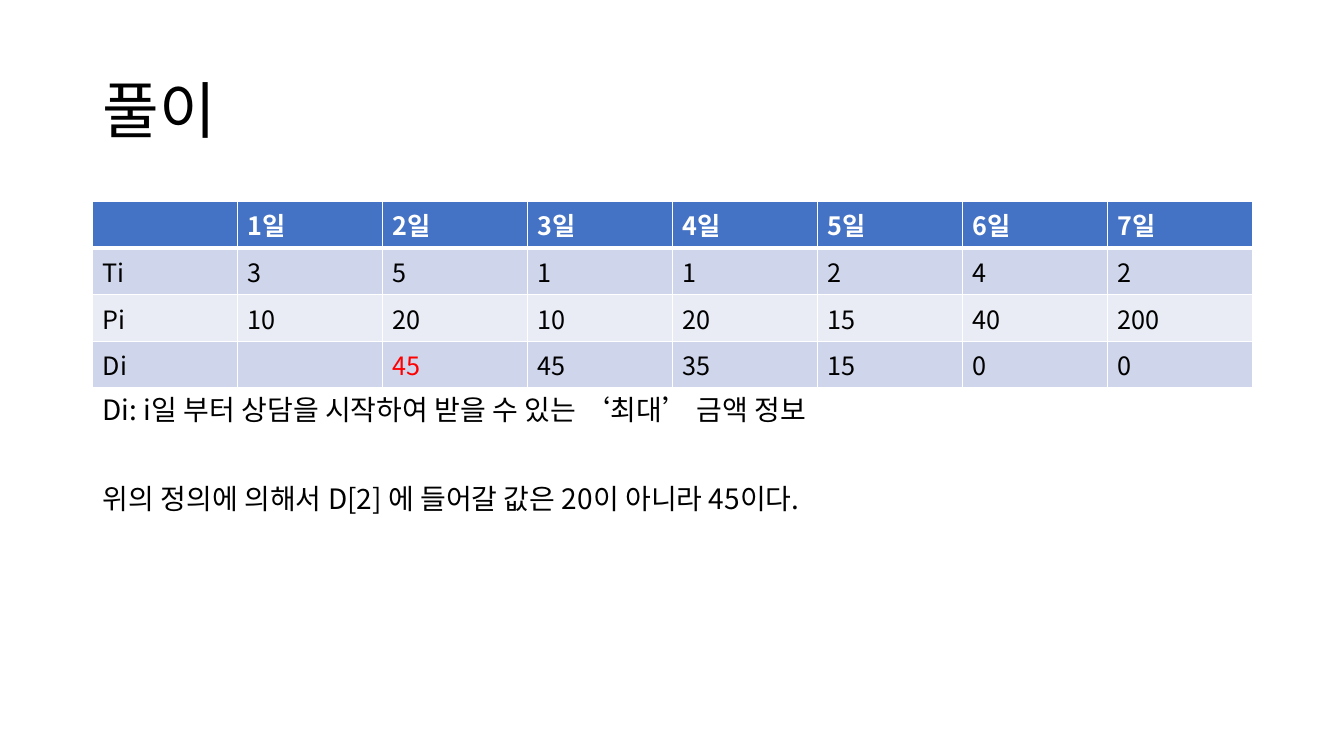
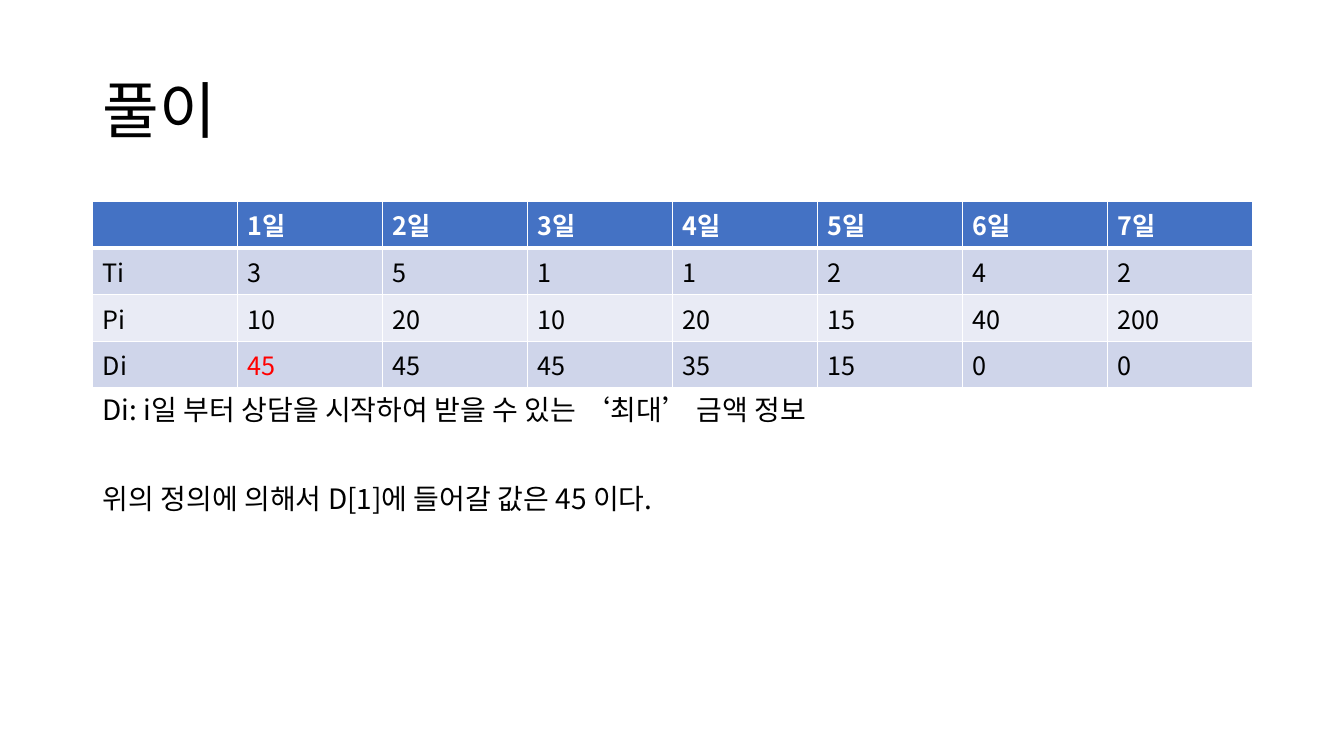
from pptx import Presentation
from pptx.dml.color import RGBColor
from pptx.enum.text import MSO_ANCHOR, MSO_AUTO_SIZE
from pptx.oxml.ns import qn
from pptx.util import Inches, Pt
from lxml.etree import SubElement

FONT = "Noto Sans CJK KR"
BLACK, WHITE, RED, BLUE = "000000", "FFFFFF", "FF0000", "4472C4"
BANDS = ["CFD5EA", "E9EBF5"]
LEFT, WIDTH = 0.92, 11.5
HEAD = [""] + [f"{day}일" for day in range(1, 8)]
TIMES = ["Ti", 3, 5, 1, 1, 2, 4, 2]
PAYS = ["Pi", 10, 20, 10, 20, 15, 40, 200]
RULE = "Di: i일 부터 상담을 시작하여 받을 수 있는 ‘최대’ 금액 정보"
STEPS = [
    (["Di", "", 45, 45, 35, 15, 0, 0], 2,
     "위의 정의에 의해서 D[2] 에 들어갈 값은 20이 아니라 45이다."),
    (["Di", 45, 45, 45, 35, 15, 0, 0], 1,
     "위의 정의에 의해서 D[1]에 들어갈 값은 45 이다."),
]


def color(code):
    return RGBColor.from_string(code)


def write(para, text, size, tint=BLACK, bold=False):
    run = para.add_run()
    run.text = str(text)
    font = run.font
    font.size, font.bold, font.name = Pt(size), bold, FONT
    font.color.rgb = color(tint)
    SubElement(run._r.get_or_add_rPr(), qn("a:ea"), typeface=FONT)


def add_text(slide, box, lines, size, anchor, gap=0):
    frame = slide.shapes.add_textbox(*map(Inches, box)).text_frame
    frame.word_wrap = True
    frame.auto_size = MSO_AUTO_SIZE.TEXT_TO_FIT_SHAPE
    frame.vertical_anchor = anchor
    for i, line in enumerate(lines):
        para = frame.add_paragraph() if i else frame.paragraphs[0]
        para.line_spacing = 0.9
        para.space_before = Pt(gap if i else 10)
        write(para, line, size)


def add_edges(cell, base):
    props = cell._tc.get_or_add_tcPr()
    for i, (side, width) in enumerate(zip("LRTB", (1, 1, 1, base))):
        line = props.makeelement(qn(f"a:ln{side}"), {"w": str(Pt(width))})
        fill = SubElement(line, qn("a:solidFill"))
        SubElement(fill, qn("a:srgbClr"), val=WHITE)
        props.insert(i, line)


def add_grid(slide, box, rows, mark):
    x, y, width, height = box
    count = len(rows[0])
    table = slide.shapes.add_table(
        len(rows), count, *map(Inches, box)).table
    for col in table.columns:
        col.width = Inches(width / count)
    for r, row in enumerate(rows):
        table.rows[r].height = Inches(height / len(rows))
        for c, value in enumerate(row):
            cell = table.cell(r, c)
            cell.fill.solid()
            cell.fill.fore_color.rgb = color(
                BANDS[(r - 1) % 2] if r else BLUE)
            add_edges(cell, 1 if r else 3)
            if value != "":
                tint = RED if (r, c) == mark else BLACK if r else WHITE
                write(cell.text_frame.paragraphs[0], value, 18, tint, r == 0)


def add_step(deck, sums, day, note):
    slide = deck.slides.add_slide(deck.slide_layouts[6])
    add_text(slide, (LEFT, 0.4, WIDTH, 1.45), ["풀이"], 44, MSO_ANCHOR.MIDDLE)
    add_text(slide, (LEFT, 3.88, WIDTH, 2.87), [RULE, note], 20,
             MSO_ANCHOR.TOP, 42)
    add_grid(slide, (LEFT, 2, WIDTH, 1.62),
             [HEAD, TIMES, PAYS, sums], (3, day))


deck = Presentation()
deck.slide_width, deck.slide_height = Inches(13.33), Inches(7.5)
for step in STEPS:
    add_step(deck, *step)
deck.save("out.pptx")
